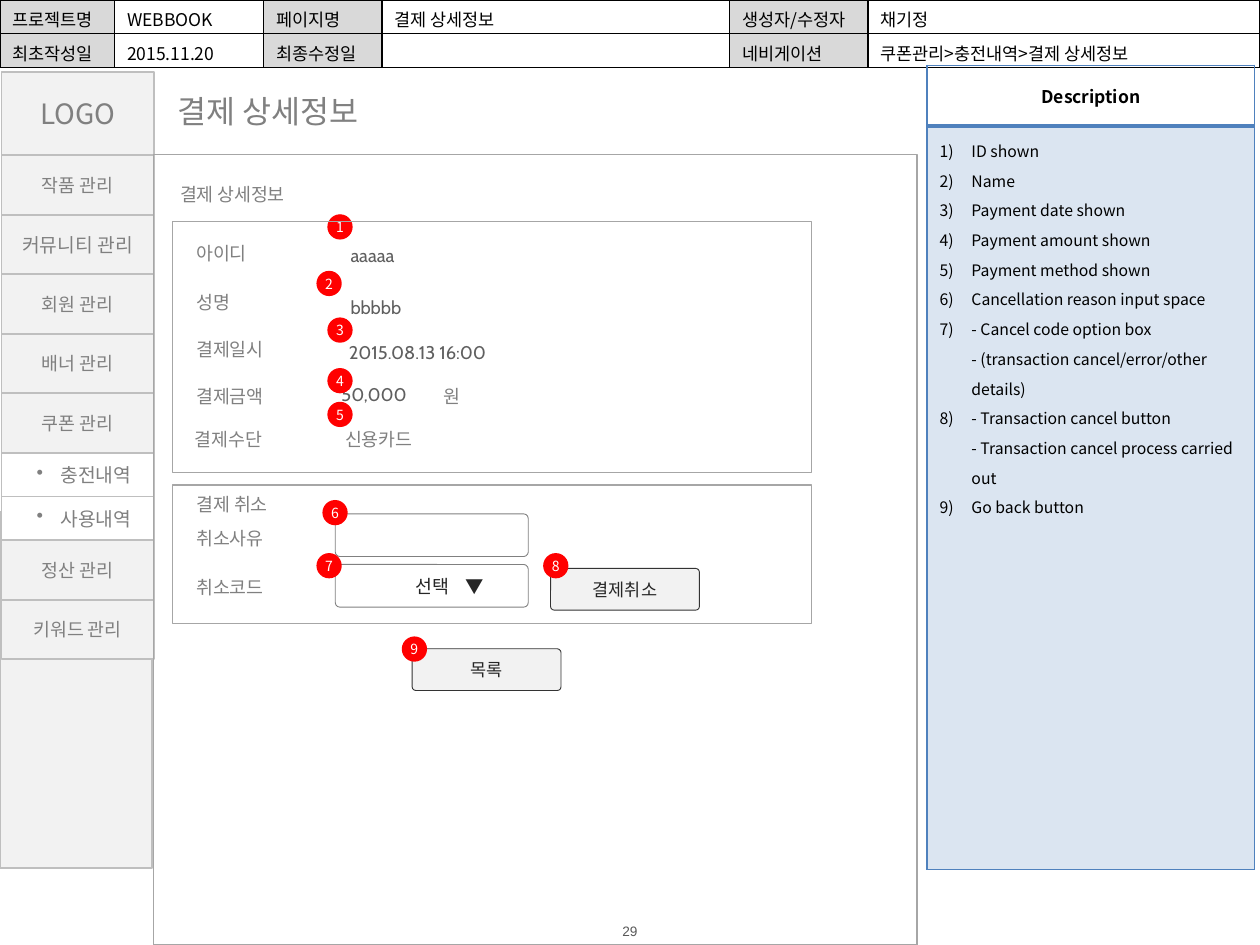
from dataclasses import dataclass
from typing import NamedTuple, Optional

import lxml.etree
import pptx
import pptx.dml.color
import pptx.enum.shapes
import pptx.enum.text
import pptx.oxml.ns
import pptx.util

Cm = pptx.util.Cm
Pt = pptx.util.Pt
RGBColor = pptx.dml.color.RGBColor
Shape = pptx.enum.shapes.MSO_SHAPE
Align = pptx.enum.text.PP_ALIGN
Anchor = pptx.enum.text.MSO_ANCHOR
qn = pptx.oxml.ns.qn

BLACK = RGBColor(0x00, 0x00, 0x00)
WHITE = RGBColor(0xFF, 0xFF, 0xFF)
RED = RGBColor(0xFF, 0x00, 0x00)
BLUE = RGBColor(0x4F, 0x81, 0xBD)
INK = RGBColor(0x26, 0x26, 0x26)
BUTTON_EDGE = RGBColor(0x33, 0x33, 0x33)
FOOTER_GRAY = RGBColor(0x59, 0x59, 0x59)
VALUE_GRAY = RGBColor(0x5F, 0x5F, 0x5F)
GRAY = RGBColor(0x80, 0x80, 0x80)
PANEL_EDGE = RGBColor(0xA6, 0xA6, 0xA6)
MENU_EDGE = RGBColor(0xBF, 0xBF, 0xBF)
HEADER_FILL = RGBColor(0xD9, 0xD9, 0xD9)
LIGHT = RGBColor(0xF2, 0xF2, 0xF2)

KOREAN = "Noto Sans CJK KR"


class Frame(NamedTuple):
    left: float
    top: float
    width: float
    height: float

    def lengths(self):
        return [Cm(value) for value in self]


@dataclass(frozen=True)
class TextStyle:
    size: float = 10.5
    color: RGBColor = GRAY
    font: str = KOREAN
    align: Align = Align.LEFT
    bold: bool = False
    inset: tuple = (0.25, 0.13, 0.25, 0.13)


@dataclass(frozen=True)
class ShapeStyle:
    kind: Shape = Shape.RECTANGLE
    fill: Optional[RGBColor] = None
    line: Optional[RGBColor] = None
    weight: float = 1
    corner: Optional[float] = None


class MenuItem(NamedTuple):
    text: str
    height: float = 1.2
    size: float = 10.5
    nested: bool = False


class Placed(NamedTuple):
    text: str
    left: float
    top: float


class Value(NamedTuple):
    text: str
    frame: Frame
    align: Align


FIELD_INSET = (0.28, 0.18, 0.28, 0.18)
LABEL = TextStyle()
TITLE = TextStyle(size=18)
HEADER = TextStyle(10, BLACK)
FOOTER = TextStyle(7.8, FOOTER_GRAY, "Arial", Align.CENTER, inset=(0, 0, 0, 0))
BADGE_TEXT = TextStyle(8, WHITE, align=Align.CENTER, inset=(0, 0, 0, 0))
BUTTON_TEXT = TextStyle(10, INK, "Calibri", Align.CENTER)
SELECT_TEXT = TextStyle(10.5, INK, inset=(1.6, 0.18, 0.1, 0.18))

MENU = ShapeStyle(fill=LIGHT, line=MENU_EDGE)
SUBMENU = ShapeStyle(fill=WHITE, line=MENU_EDGE)
PANEL = ShapeStyle(line=PANEL_EDGE, weight=0.75)
INPUT = ShapeStyle(Shape.ROUNDED_RECTANGLE, WHITE, GRAY, 0.5, 0.108)
VALUE = ShapeStyle(Shape.ROUNDED_RECTANGLE, WHITE, corner=0.108)
BUTTON = ShapeStyle(Shape.ROUNDED_RECTANGLE, LIGHT, BUTTON_EDGE, 0.5, 0.088)
BADGE = ShapeStyle(Shape.OVAL, RED)

HEADER_WIDTHS = [2.31, 3, 2.39, 7.01, 2.79, 7.9]
HEADER_ROWS = [
    ["프로젝트명", "WEBBOOK", "페이지명", "결제 상세정보", "생성자/수정자", "채기정"],
    ["최초작성일", "2015.11.20", "최종수정일", "", "네비게이션", "쿠폰관리>충전내역>결제 상세정보"],
]
MENU_ITEMS = [
    MenuItem("LOGO", 1.68, 16),
    MenuItem("작품 관리"),
    MenuItem("커뮤니티 관리", size=11),
    MenuItem("회원 관리"),
    MenuItem("배너 관리"),
    MenuItem("쿠폰 관리"),
    MenuItem("충전내역", 0.88, 11, True),
    MenuItem("사용내역", 0.88, 11, True),
    MenuItem("정산 관리"),
    MenuItem("키워드 관리"),
]
LABELS = [
    Placed("결제 상세정보", 3.38, 3.53),
    Placed("아이디", 3.71, 4.72),
    Placed("성명", 3.71, 5.72),
    Placed("결제일시", 3.71, 6.65),
    Placed("결제금액", 3.71, 7.6),
    Placed("원", 8.69, 7.6),
    Placed("결제수단", 3.68, 8.48),
    Placed("신용카드", 6.71, 8.48),
    Placed("결제 취소", 3.71, 9.78),
    Placed("취소사유", 3.71, 10.46),
    Placed("취소코드", 3.71, 11.46),
]
VALUES = [
    Value("aaaaa", Frame(6.76, 4.72, 5.05, 0.86), Align.LEFT),
    Value("bbbbb", Frame(6.76, 5.77, 5.05, 0.86), Align.LEFT),
    Value("2015.08.13 16:00", Frame(5.41, 6.68, 4.7, 0.86), Align.RIGHT),
    Value("50,000", Frame(6.02, 7.52, 2.49, 0.86), Align.RIGHT),
]
BUTTONS = [Placed("결제취소", 11.1, 11.46), Placed("목록", 8.31, 13.08)]
BADGES = [
    (6.6, 4.32), (6.38, 5.46), (6.6, 6.4), (6.6, 7.42), (6.6, 8.1),
    (6.5, 10.08), (6.38, 11.15), (10.95, 11.15), (8.1, 12.83),
]
DESCRIPTIONS = [
    ["ID shown"],
    ["Name"],
    ["Payment date shown"],
    ["Payment amount shown"],
    ["Payment method shown"],
    ["Cancellation reason input space"],
    ["- Cancel code option box", "- (transaction cancel/error/other details)"],
    ["- Transaction cancel button", "- Transaction cancel process carried out"],
    ["Go back button"],
]


def add_span(para, text: str, style: TextStyle) -> None:
    span = para.add_run()
    span.text = text
    span.font.size = Pt(style.size)
    span.font.name = style.font
    span.font.bold = style.bold
    span.font.color.rgb = style.color
    east_asian = lxml.etree.SubElement(span.font._element, qn("a:ea"))
    east_asian.set("typeface", KOREAN)


def add_bullet(para, hanging: float, tag: str, **attributes: str) -> None:
    properties = para._p.get_or_add_pPr()
    properties.set("marL", str(Cm(hanging)))
    properties.set("indent", str(-Cm(hanging)))
    lxml.etree.SubElement(properties, qn(tag), attributes)


def write(box, text: str, style: TextStyle):
    frame = box.text_frame
    frame.word_wrap = True
    frame.vertical_anchor = Anchor.MIDDLE
    frame.margin_left, frame.margin_top, frame.margin_right, frame.margin_bottom = map(Cm, style.inset)
    para = frame.paragraphs[0]
    para.alignment = style.align
    add_span(para, text, style)
    return para


def add_text(page, frame: Frame, text: str, style: TextStyle) -> None:
    write(page.shapes.add_textbox(*frame.lengths()), text, style)


def add_box(page, frame: Frame, style: ShapeStyle):
    box = page.shapes.add_shape(style.kind, *frame.lengths())
    box.shadow.inherit = False
    if style.corner is not None:
        box.adjustments[0] = style.corner
    for paint, color in ((box.fill, style.fill), (box.line.fill, style.line)):
        if color is None:
            paint.background()
        else:
            paint.solid()
            paint.fore_color.rgb = color
    if style.line is not None:
        box.line.width = Pt(style.weight)
    return box


def add_plain_table(page, frame: Frame, widths: list, heights: list):
    table = page.shapes.add_table(len(heights), len(widths), *frame.lengths()).table
    table.first_row = table.horz_banding = False
    for column, width in zip(table.columns, widths):
        column.width = Cm(width)
    for row, height in zip(table.rows, heights):
        row.height = Cm(height)
    return table


def paint_cell(cell, edge: RGBColor, fill: Optional[RGBColor], bottom: float = 1, opacity: int = 100) -> None:
    properties = cell._tc.get_or_add_tcPr()
    for side, weight in (("L", 1), ("R", 1), ("T", 1), ("B", bottom)):
        line = lxml.etree.SubElement(properties, qn(f"a:ln{side}"), w=str(Pt(weight)))
        solid = lxml.etree.SubElement(line, qn("a:solidFill"))
        lxml.etree.SubElement(solid, qn("a:srgbClr"), val=str(edge))
    if fill is None:
        cell.fill.background()
        return
    cell.fill.solid()
    cell.fill.fore_color.rgb = fill
    if opacity < 100:
        color = properties.find(qn("a:solidFill")).find(qn("a:srgbClr"))
        lxml.etree.SubElement(color, qn("a:alpha"), val=str(opacity * 1000))


def draw_header(page) -> None:
    table = add_plain_table(page, Frame(0, 0, 25.4, 1.36), HEADER_WIDTHS, [0.68, 0.68])
    for row, texts in enumerate(HEADER_ROWS):
        for column, text in enumerate(texts):
            cell = table.cell(row, column)
            cell.margin_bottom = 0
            para = cell.text_frame.paragraphs[0]
            if text:
                add_span(para, text, HEADER)
            else:
                lxml.etree.SubElement(para._p, qn("a:endParaRPr"), sz="1000")
            paint_cell(cell, BLACK, None if column % 2 else HEADER_FILL)


def draw_menu(page) -> None:
    add_box(page, Frame(0, 10.31, 3.07, 7.19), MENU)
    top = 1.45
    for item in MENU_ITEMS:
        box = add_box(page, Frame(0.03, top, 3.07, item.height), SUBMENU if item.nested else MENU)
        if item.nested:
            para = write(box, item.text, TextStyle(item.size, inset=(0.71, 0.13, 0.25, 0.13)))
            add_bullet(para, 0.48, "a:buChar", char="•")
        else:
            write(box, item.text, TextStyle(item.size, align=Align.CENTER))
        top += item.height


def draw_descriptions(page) -> None:
    table = add_plain_table(page, Frame(18.69, 1.32, 6.6, 16.21), [6.6], [1.22, 14.99])
    heading, body = table.cell(0, 0), table.cell(1, 0)
    heading.vertical_anchor = Anchor.MIDDLE
    para = heading.text_frame.paragraphs[0]
    para.alignment = Align.CENTER
    add_span(para, "Description", TextStyle(10, BLACK, bold=True))
    paint_cell(heading, BLUE, None, bottom=2)
    for index, lines in enumerate(DESCRIPTIONS):
        para = body.text_frame.add_paragraph() if index else body.text_frame.paragraphs[0]
        para.line_spacing = 1.3
        add_bullet(para, 0.64, "a:buAutoNum", type="arabicParenR")
        for number, line in enumerate(lines):
            if number:
                para.add_line_break()
            add_span(para, line, TextStyle(9, BLACK))
    paint_cell(body, BLUE, BLUE, opacity=20)


def draw_form(page) -> None:
    add_box(page, Frame(3.1, 3.12, 15.39, 15.93), PANEL)
    for value in VALUES:
        style = TextStyle(10.5, VALUE_GRAY, "Cabin", value.align, inset=FIELD_INSET)
        write(add_box(page, value.frame, VALUE), value.text, style)
    for label in LABELS:
        add_text(page, Frame(label.left, label.top, 3.84, 0.76), label.text, LABEL)
    add_box(page, Frame(6.76, 10.36, 3.89, 0.86), INPUT)
    para = write(add_box(page, Frame(6.76, 11.38, 3.89, 0.86), INPUT), "선택\t▼", SELECT_TEXT)
    tabs = lxml.etree.SubElement(para._p.get_or_add_pPr(), qn("a:tabLst"))
    lxml.etree.SubElement(tabs, qn("a:tab"), pos=str(Cm(0.99)), algn="l")
    for button in BUTTONS:
        write(add_box(page, Frame(button.left, button.top, 3, 0.84), BUTTON), button.text, BUTTON_TEXT)
    for number, (left, top) in enumerate(BADGES, start=1):
        write(add_box(page, Frame(left, top, 0.51, 0.51), BADGE), str(number), BADGE_TEXT)
    for top, height in ((4.47, 5.05), (9.78, 2.79)):
        add_box(page, Frame(3.48, top, 12.88, height), PANEL)


def main() -> None:
    deck = pptx.Presentation()
    deck.slide_width, deck.slide_height = Cm(25.4), Cm(19.05)
    page = deck.slides.add_slide(deck.slide_layouts[6])
    draw_header(page)
    add_text(page, Frame(3.33, 1.73, 4.6, 1.02), "결제 상세정보", TITLE)
    draw_menu(page)
    draw_descriptions(page)
    draw_form(page)
    add_text(page, Frame(11.61, 18.59, 2.18, 0.36), "29", FOOTER)
    deck.save("out.pptx")


if __name__ == "__main__":
    main()
